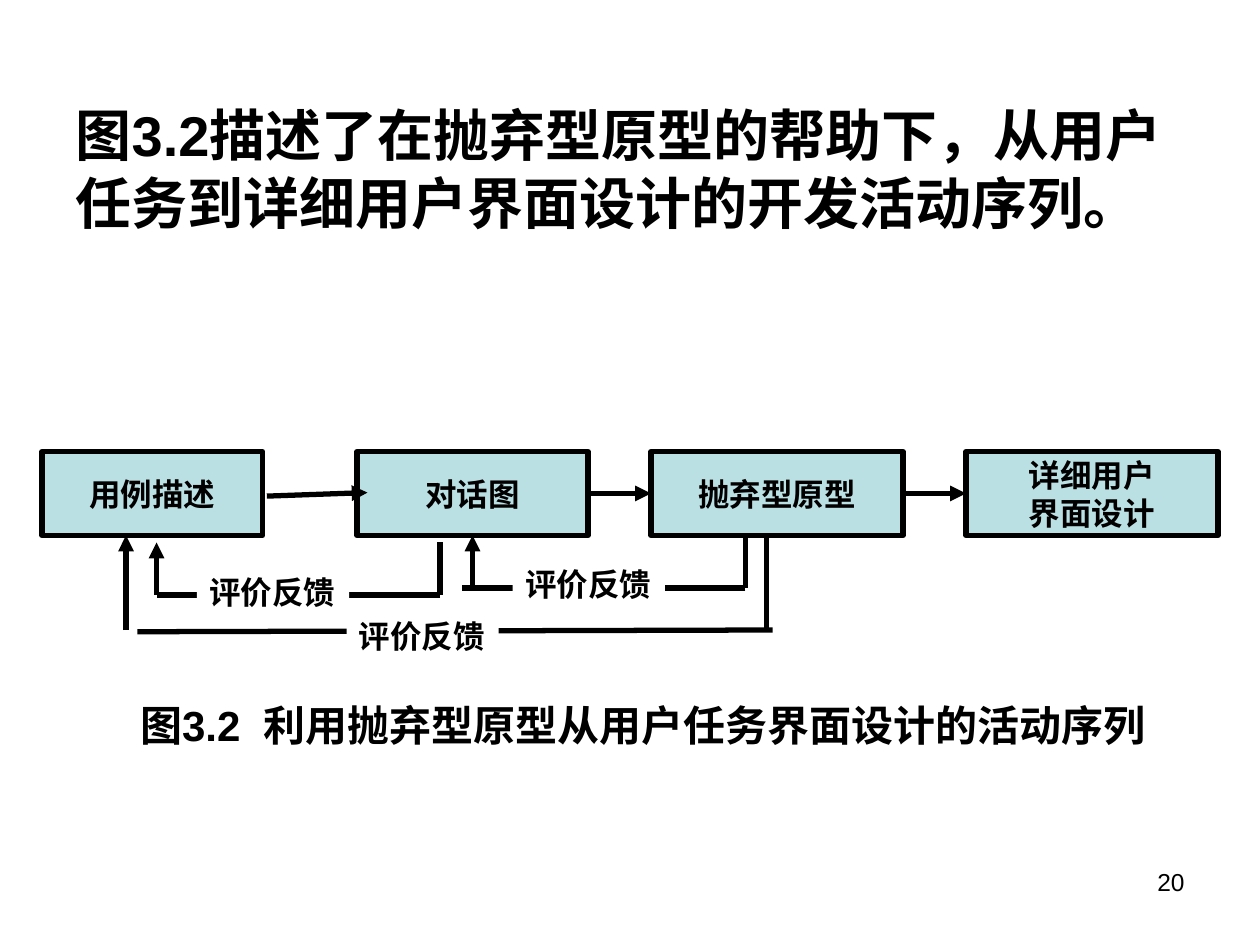
from pptx import Presentation
from pptx.dml.color import RGBColor
from pptx.enum.shapes import MSO_CONNECTOR as Conn, MSO_SHAPE as Shape
from pptx.enum.text import MSO_ANCHOR as Anchor, MSO_AUTO_SIZE as Fit, PP_ALIGN as Align
from pptx.oxml.ns import qn
from pptx.util import Pt
from lxml.etree import SubElement

BLACK = RGBColor(0x00, 0x00, 0x00)
WHITE = RGBColor(0xFF, 0xFF, 0xFF)
TEAL = RGBColor(0xBB, 0xE0, 0xE3)

LEAD = "图3.2描述了在抛弃型原型的帮助下，从用户任务到详细用户界面设计的开发活动序列。"
CAPTION = "图3.2  利用抛弃型原型从用户任务界面设计的活动序列"
TOP, HIGH = 258, 48
STEPS = [
    ("用例描述", 24, 126),
    ("对话图", 204, 132),
    ("抛弃型原型", 372, 144),
    ("详细用户\n界面设计", 552, 144),
]
FLOWS = [
    ((152.5, 283.5), (210, 281.5)),
    ((336, 282), (372, 282)),
    ((516, 282), (552, 282)),
]
LOOPS = [
    [((426, 306), (426, 336)), ((426, 336), (264, 336)), ((270, 336), (270, 306))],
    [((438, 306), (438, 360)), ((441.5, 360), (78.5, 361)), ((72, 360), (72, 306))],
    [((251.5, 310), (251.5, 340)), ((251.5, 340), (89.5, 340)), ((89.5, 340), (89.5, 310))],
]
LABELS = [(293, 319.5), (198, 349), (112.5, 324)]


def write(shape, text, size, bold=True, align=Align.LEFT, anchor=Anchor.TOP, wrap=True):
    """Fill a shape with formatted text."""
    frame = shape.text_frame
    frame.text = text
    frame.word_wrap = wrap
    frame.auto_size = Fit.NONE
    frame.vertical_anchor = anchor
    for para in frame.paragraphs:
        para.alignment = align
        for run in para.runs:
            font = run.font
            font.name = "Arial"
            font.size = Pt(size)
            font.bold = bold
            font.color.rgb = BLACK


def place(shape, *box):
    """Set left, top, width and height of a shape."""
    shape.left, shape.top, shape.width, shape.height = map(Pt, box)


def add_rect(slide, fill, *box):
    """Add a flat rectangle without an outline."""
    rect = slide.shapes.add_shape(Shape.RECTANGLE, *map(Pt, box))
    rect.shadow.inherit = False
    rect.fill.solid()
    rect.fill.fore_color.rgb = fill
    rect.line.fill.background()
    return rect


def add_step(slide, text, left, width):
    """Add one outlined step of the process."""
    rect = add_rect(slide, TEAL, left, TOP, width, HIGH)
    rect.line.color.rgb = BLACK
    rect.line.width = Pt(3)
    write(rect, text, 18, align=Align.CENTER, anchor=Anchor.MIDDLE, wrap=False)


def add_label(slide, left, top):
    """Add a feedback label that masks the line behind it."""
    rect = add_rect(slide, WHITE, left, top, 87, 29)
    write(rect, "评价反馈", 18, wrap=False)


def add_line(slide, start, end, arrow=False):
    """Add a straight black line, with an arrowhead if wanted."""
    line = slide.shapes.add_connector(Conn.STRAIGHT, *map(Pt, start + end))
    line.line.color.rgb = BLACK
    line.line.width = Pt(3)
    if arrow:
        SubElement(line.line._get_or_add_ln(), qn("a:tailEnd"), type="triangle")
    SubElement(line._element.spPr, qn("a:effectLst"))


def add_text(slide, text, size, *box, **style):
    """Add a text box."""
    write(slide.shapes.add_textbox(*map(Pt, box)), text, size, **style)


def main():
    """Build and save the slide."""
    deck = Presentation()
    deck.slide_width, deck.slide_height = Pt(720), Pt(540)
    slide = deck.slides.add_slide(deck.slide_layouts[5])
    title = slide.shapes.title
    place(title, 36, 54, 648, 114)
    write(title, LEAD, 32)
    for step in STEPS:
        add_step(slide, *step)
    for start, end in FLOWS:
        add_line(slide, start, end, arrow=True)
    for loop in LOOPS:
        for start, end in loop:
            add_line(slide, start, end, arrow=(start, end) == loop[-1])
    for spot in LABELS:
        add_label(slide, *spot)
    add_text(slide, CAPTION, 24, 73, 396, 589, 36)
    add_text(slide, "20", 14, 516, 492, 168, 37.5, bold=False, align=Align.RIGHT)
    deck.save("out.pptx")


if __name__ == "__main__":
    main()
